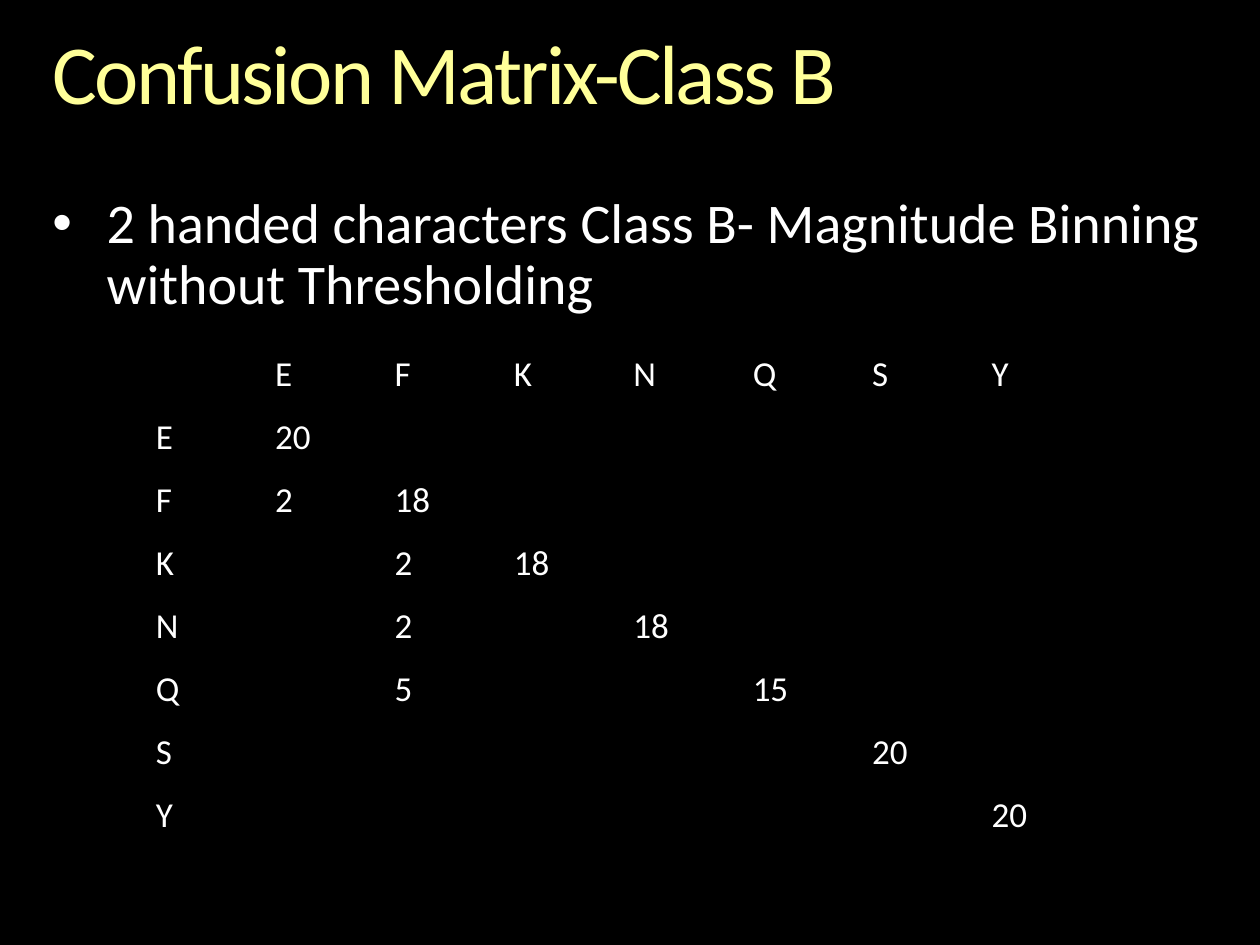
from lxml import etree
from pptx import Presentation
from pptx.dml.color import RGBColor
from pptx.enum.text import MSO_ANCHOR
from pptx.oxml.ns import qn
from pptx.util import Inches, Pt

TOP = MSO_ANCHOR.TOP
WIDTH, HEIGHT = 10, 7.5
COLUMNS, ROWS = 24, 30

LETTERS = "EFKNQSY"
COUNTS = {
    "EE": 20,
    "FE": 2, "FF": 18,
    "KF": 2, "KK": 18,
    "NF": 2, "NN": 18,
    "QF": 5, "QQ": 15,
    "SS": 20,
    "YY": 20,
}


def color(hex_code):
    return RGBColor.from_string(hex_code)


class MatrixSlide:
    font = "Calibri"
    background = "000000"
    title_color = "FFFF99"
    text_color = "FFFFFF"

    def __init__(self, presentation):
        self.slide = presentation.slides.add_slide(presentation.slide_layouts[6])
        fill = self.slide.background.fill
        fill.solid()
        fill.fore_color.rgb = color(self.background)

    def place(self, column, row, columns, rows):
        """Turn grid units into left, top, width and height."""
        x, y = WIDTH / COLUMNS, HEIGHT / ROWS
        return [Inches(n) for n in (column * x, row * y, columns * x, rows * y)]

    def style(self, paragraph, size, hex_code, spacing):
        paragraph.font.name = self.font
        paragraph.font.size = Pt(size)
        paragraph.font.color.rgb = color(hex_code)
        paragraph.line_spacing = spacing

    def text(self, words, area, size, hex_code):
        frame = self.slide.shapes.add_textbox(*self.place(*area)).text_frame
        frame.word_wrap = True
        frame.margin_left = frame.margin_right = 0
        frame.margin_top = frame.margin_bottom = 0
        paragraph = frame.paragraphs[0]
        paragraph.add_run().text = words
        self.style(paragraph, size, hex_code, 0.9)
        return paragraph

    def title(self, words, area):
        heading = self.text(words, area, 48, self.title_color)
        heading.runs[0].font._element.set("spc", "-150")

    def bullet(self, words, area):
        properties = self.text(words, area, 32, self.text_color)._p.get_or_add_pPr()
        indent = Inches(0.43)
        properties.set("marL", str(indent))
        properties.set("indent", str(-indent))
        typeface = etree.Element(qn("a:buFont"), typeface="Arial")
        mark = etree.Element(qn("a:buChar"), char="•")
        following = properties.find(qn("a:defRPr"))
        for part in (typeface, mark):
            following.addprevious(part)

    def border(self, cell):
        properties = cell._tc.get_or_add_tcPr()
        for position, side in enumerate(("lnL", "lnR", "lnT", "lnB")):
            line = etree.Element(qn(f"a:{side}"), w=str(Pt(1)))
            fill = etree.SubElement(line, qn("a:solidFill"))
            etree.SubElement(fill, qn("a:srgbClr"), val=self.background)
            properties.insert(position, line)

    def matrix(self, letters, counts, area):
        """Draw true letters down the side and recognised letters along the top."""
        size = len(letters) + 1
        table = self.slide.shapes.add_table(size, size, *self.place(*area)).table
        table.first_row = table.horz_banding = False
        header = ["", *letters]
        body = [[true, *(counts.get(true + found, "") for found in letters)]
                for true in letters]
        for row, values in enumerate([header, *body]):
            for column, value in enumerate(values):
                cell = table.cell(row, column)
                cell.text = str(value)
                cell.fill.background()
                cell.vertical_anchor = TOP
                cell.margin_left = cell.margin_right = Inches(0.07)
                cell.margin_top = cell.margin_bottom = 0
                self.style(cell.text_frame.paragraphs[0], 20, self.text_color, 1.15)
                self.border(cell)


def main():
    presentation = Presentation()
    presentation.slide_width = Inches(WIDTH)
    presentation.slide_height = Inches(HEIGHT)
    page = MatrixSlide(presentation)
    page.title("Confusion Matrix-Class B", (1, 1, 22, 2.92))
    page.matrix(LETTERS, COUNTS, (2.8, 11, 18.2, 16))
    page.bullet("2 handed characters Class B- Magnitude Binning without Thresholding",
                (1, 6.2, 22, 3.88))
    presentation.save("out.pptx")


if __name__ == "__main__":
    main()
